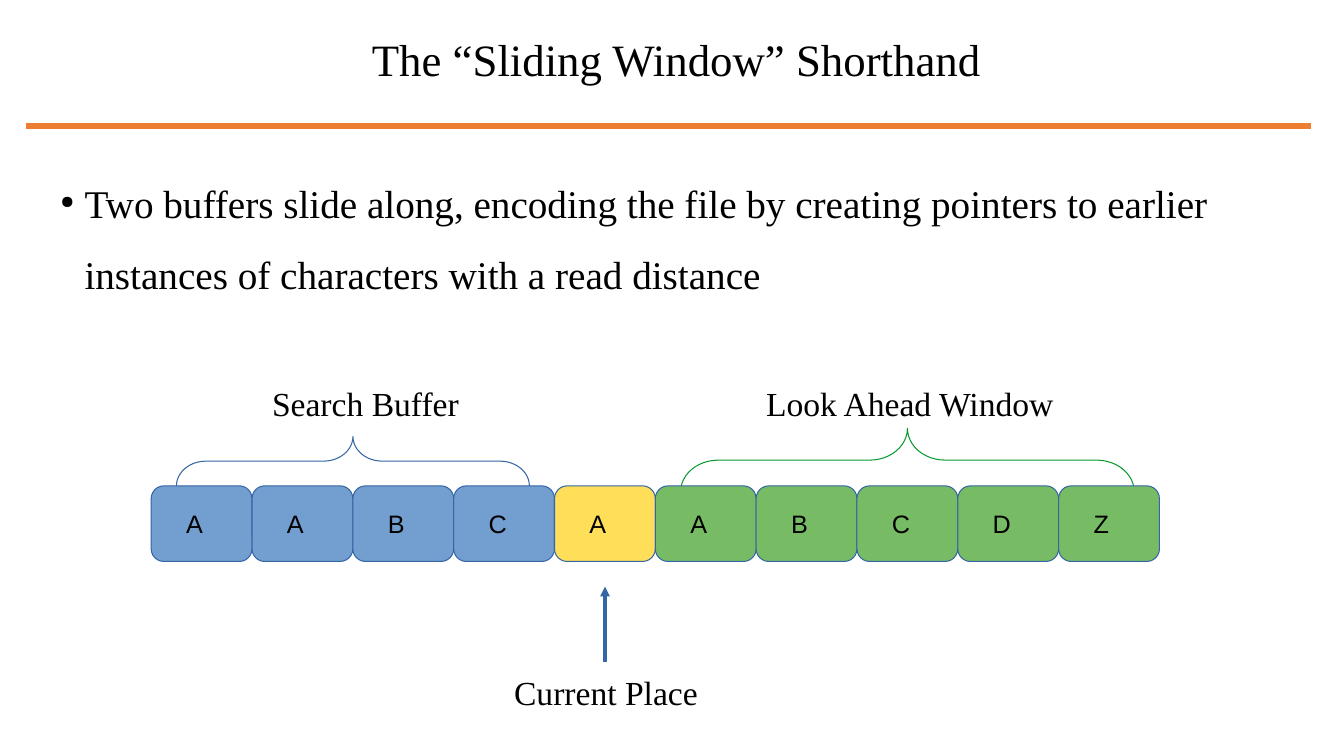
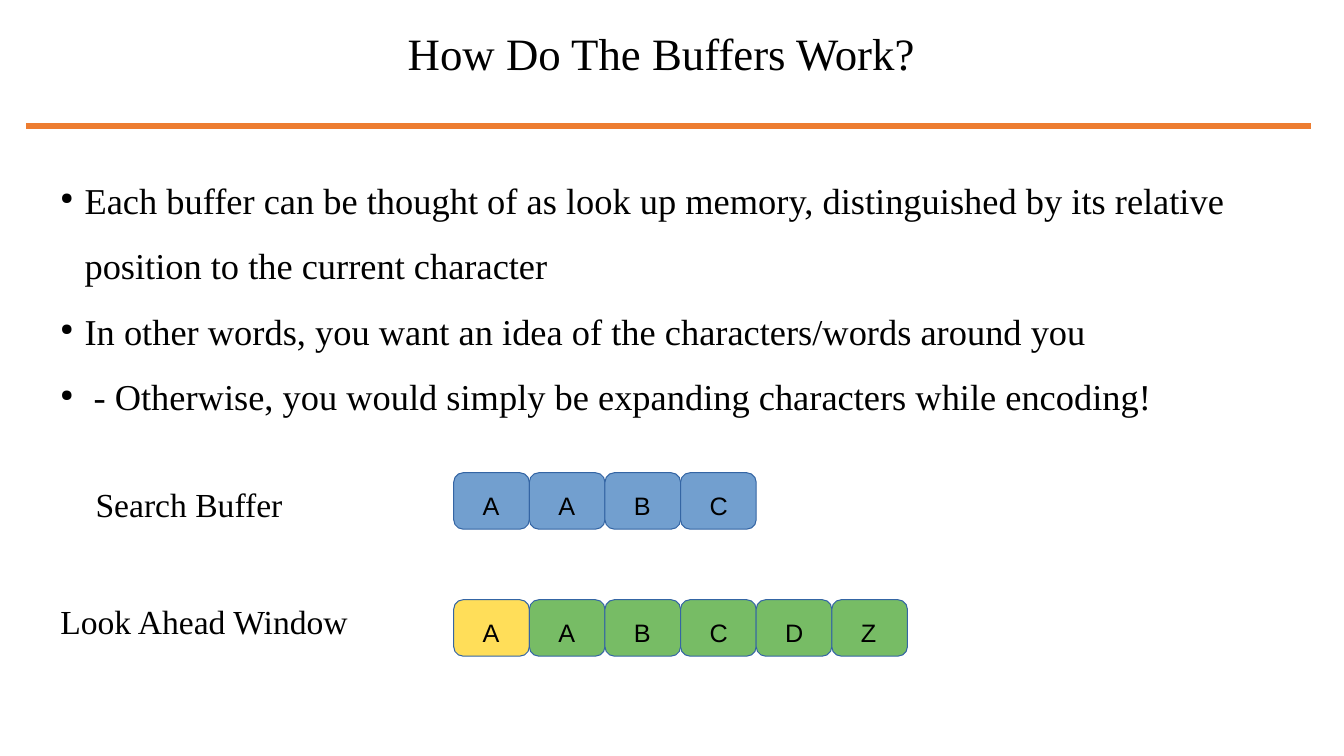
from dataclasses import dataclass

import pptx
import pptx.dml.color
import pptx.enum.shapes
import pptx.enum.text
import pptx.oxml.ns
import pptx.util
from lxml import etree

UNIT = 0.25  # side of one grid square, in inches
SERIF, SANS = "Times New Roman", "Arial"
BLACK, ORANGE, OUTLINE, GREEN_LINE = "000000", "ED7D31", "3465A4", "069A2E"
BLUE, YELLOW, GREEN = "729FCF", "FFDE59", "77BC65"
ALIGN = pptx.enum.text.PP_ALIGN
SHAPE = pptx.enum.shapes.MSO_SHAPE


@dataclass(frozen=True)
class Box:
    """Place and size in columns and rows of the grid."""
    col: float
    row: float
    cols: float
    rows: float

    def emu(self):
        return [grid(n) for n in (self.col, self.row, self.cols, self.rows)]


@dataclass(frozen=True)
class Run:
    """Neighbouring cells of one colour, one letter each."""
    letters: str
    fill: str


@dataclass(frozen=True)
class CellStyle:
    cols: float
    rows: float
    indent: float
    drop: float


@dataclass(frozen=True)
class Brace:
    box: Box
    color: str


@dataclass(frozen=True)
class Label:
    text: str
    box: Box
    align: ALIGN = ALIGN.LEFT


SEARCH = Run("AABC", BLUE)
CURRENT = Run("A", YELLOW)
AHEAD = Run("ABCDZ", GREEN)
LARGE_CELL = CellStyle(4, 3, indent=1.24, drop=0.76)
SMALL_CELL = CellStyle(3, 2.24, indent=1.04, drop=0.6)


def grid(n: float):
    return pptx.util.Inches(n * UNIT)


def rgb(color: str):
    return pptx.dml.color.RGBColor.from_string(color)


def add_child(parent, tag: str, **attrs: str):
    child = etree.SubElement(parent, pptx.oxml.ns.qn(tag))
    for name, value in attrs.items():
        child.set(name, value)
    return child


def write(tf, *lines: str, size: float = 24, font: str = SERIF,
          align=ALIGN.LEFT, spacing: float | None = None,
          bullets: bool = False) -> None:
    """Fill a text frame with one paragraph per line."""
    tf.word_wrap = True
    tf.vertical_anchor = pptx.enum.text.MSO_ANCHOR.TOP
    for i, line in enumerate(lines):
        p = tf.paragraphs[0] if i == 0 else tf.add_paragraph()
        p.alignment = align
        if spacing:
            p.line_spacing = spacing
        if bullets:
            add_bullet(p)
        r = p.add_run()
        r.text = line
        r.font.name = font
        r.font.size = pptx.util.Pt(size)
        r.font.color.rgb = rgb(BLACK)


def add_bullet(p) -> None:
    pPr = p._p.get_or_add_pPr()
    indent = pptx.util.Inches(0.24)
    pPr.set("marL", str(indent))
    pPr.set("indent", str(-indent))
    add_child(add_child(pPr, "a:buClr"), "a:srgbClr", val=BLACK)
    add_child(pPr, "a:buSzPct", val="45000")
    add_child(pPr, "a:buChar", char="●")


def add_text(s, box: Box, *lines: str, **style) -> None:
    write(s.shapes.add_textbox(*box.emu()).text_frame, *lines, **style)


def add_labels(s, *labels: Label) -> None:
    for label in labels:
        add_text(s, label.box, label.text, align=label.align)


def add_line(s, start: tuple[float, float], end: tuple[float, float],
             color: str, width: float, arrow: bool = False) -> None:
    sp = s.shapes.add_connector(
        pptx.enum.shapes.MSO_CONNECTOR.STRAIGHT,
        *(grid(n) for n in start + end))
    sp.line.color.rgb = rgb(color)
    sp.line.width = pptx.util.Pt(width)
    if arrow:
        add_child(sp.line._get_or_add_ln(), "a:tailEnd", type="triangle")
    add_child(sp._element.spPr, "a:effectLst")


def add_outline(s, kind, box: Box, color: str, adjust: float):
    """Add an unfilled preset shape with a hairline outline."""
    sp = s.shapes.add_shape(kind, *box.emu())
    sp.shadow.inherit = False
    sp.adjustments[0] = adjust
    sp.fill.background()
    sp.line.color.rgb = rgb(color)
    sp.line.width = pptx.util.Pt(0)
    return sp


def add_brace(s, brace: Brace) -> None:
    """Add a brace that fills the box and points up."""
    b = brace.box
    shift = (b.cols - b.rows) / 2
    upright = Box(b.col + shift, b.row - shift, b.rows, b.cols)
    sp = add_outline(s, SHAPE.LEFT_BRACE, upright, brace.color, 0.595)
    sp.rotation = 90


def add_cells(s, col: float, row: float, style: CellStyle, *runs: Run) -> None:
    cells = [(letter, run.fill) for run in runs for letter in run.letters]
    for i, (letter, fill) in enumerate(cells):
        box = Box(col + i * style.cols, row, style.cols, style.rows)
        sp = add_outline(s, SHAPE.ROUNDED_RECTANGLE, box, OUTLINE, 0.167)
        sp.fill.solid()
        sp.fill.fore_color.rgb = rgb(fill)
        tf = sp.text_frame
        tf.margin_left, tf.margin_top = grid(style.indent), grid(style.drop)
        tf.margin_right = tf.margin_bottom = 0
        write(tf, letter, size=18, font=SANS)


def add_slide(prs, title: str, title_box: Box, *bullets: str, size: float):
    """Add a slide with its title, rule and bulleted text."""
    s = prs.slides.add_slide(prs.slide_layouts[6])
    add_text(s, title_box, title, size=32, align=ALIGN.CENTER, spacing=1.5)
    add_line(s, (1.04, 5), (52, 5), ORANGE, 4.5)
    add_text(s, Box(2, 6, 49, 22), *bullets, size=size, spacing=1.5,
             bullets=True)
    return s


def sliding_window(prs) -> None:
    s = add_slide(
        prs, "The “Sliding Window” Shorthand", Box(8.84, 0, 36, 5.32),
        "Two buffers slide along, encoding the file by creating pointers to "
        "earlier instances of characters with a read distance", size=28)
    add_brace(s, Brace(Box(27, 17, 18, 2.52), GREEN_LINE))
    add_cells(s, 6, 19.28, LARGE_CELL, SEARCH, CURRENT, AHEAD)
    add_brace(s, Brace(Box(7, 17.32, 14, 1.96), OUTLINE))
    add_line(s, (24, 26.28), (24, 23.28), OUTLINE, 2.3, arrow=True)
    add_labels(
        s,
        Label("Search Buffer", Box(9, 15, 11, 2), ALIGN.CENTER),
        Label("Look Ahead Window", Box(30, 15, 14, 3.36)),
        Label("Current Place", Box(20, 26.48, 9, 2.52)))


def buffers(prs) -> None:
    s = add_slide(
        prs, "How Do The Buffers Work?", Box(8.24, -0.24, 36, 5.32),
        "Each buffer can be thought of as look up memory, distinguished by "
        "its relative position to the current character",
        "In other words, you want an idea of the characters/words around you",
        " - Otherwise, you would simply be expanding characters while "
        "encoding!", size=26)
    add_cells(s, 18, 18.76, SMALL_CELL, SEARCH)
    add_cells(s, 18, 23.8, SMALL_CELL, CURRENT, AHEAD)
    add_labels(
        s,
        Label("Search Buffer", Box(2, 19, 11, 2), ALIGN.CENTER),
        Label("Look Ahead Window", Box(2, 23.64, 14, 3.36)))


def main() -> None:
    prs = pptx.Presentation()
    prs.slide_width = pptx.util.Inches(13.33)
    prs.slide_height = pptx.util.Inches(7.5)
    sliding_window(prs)
    buffers(prs)
    prs.save("out.pptx")


if __name__ == "__main__":
    main()
